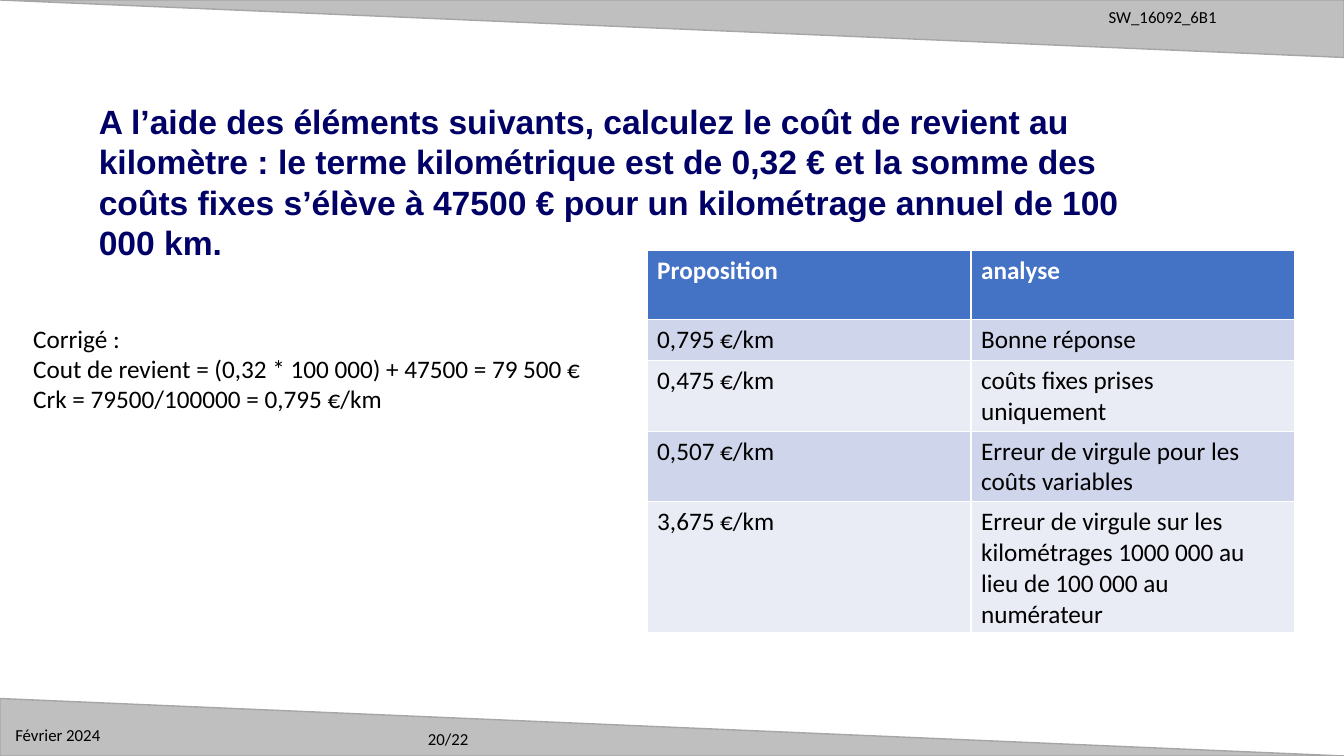
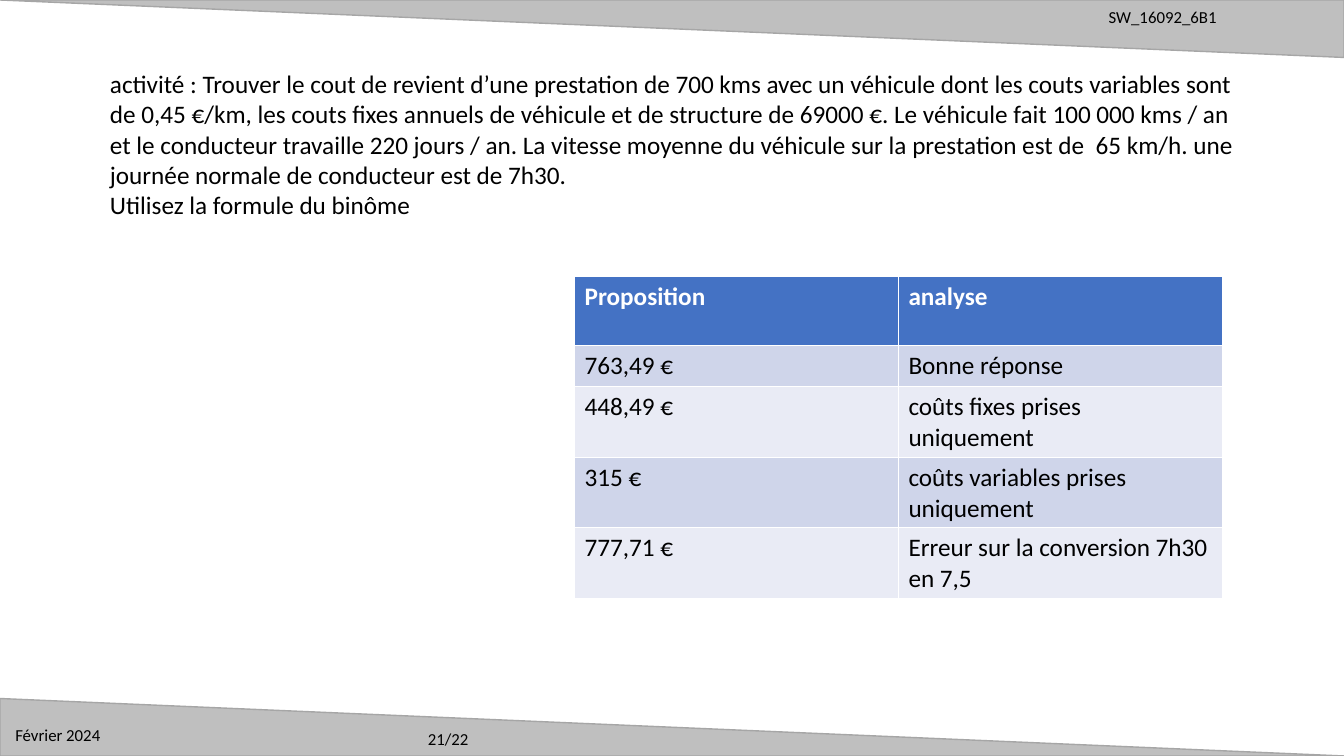
from pptx import Presentation
from pptx.dml.color import RGBColor
from pptx.enum.shapes import MSO_SHAPE
from pptx.enum.text import MSO_ANCHOR, MSO_AUTO_SIZE, PP_ALIGN
from pptx.util import Inches, Pt

TRIANGLE = MSO_SHAPE.RIGHT_TRIANGLE
TOP, LEFT, NO_FIT = MSO_ANCHOR.TOP, PP_ALIGN.LEFT, MSO_AUTO_SIZE.NONE

BLACK = RGBColor(0x00, 0x00, 0x00)
WHITE = RGBColor(0xFF, 0xFF, 0xFF)
NAVY = RGBColor(0x00, 0x00, 0x66)
BAND_FILL = RGBColor(0xBF, 0xBF, 0xBF)
BAND_LINE = RGBColor(0xA6, 0xA6, 0xA6)
HEADER_FILL = RGBColor(0x44, 0x72, 0xC4)
ROW_FILLS = [RGBColor(0xE9, 0xEB, 0xF5), RGBColor(0xCF, 0xD5, 0xEA)]

TITLE_ONLY = 5
BAND_HEIGHT = 7.6
TABLE_WIDTH = 48.2
HEADER_HEIGHT, ROW_HEIGHT = 9.2, 5.4
PAGE_COUNT = 22

prs = Presentation()
prs.slide_width, prs.slide_height = Inches(13.33), Inches(7.5)


def area(left, top, width, height):
    """Turn percentages of the slide's size into lengths."""
    across, down = prs.slide_width / 100, prs.slide_height / 100
    return int(left * across), int(top * down), int(width * across), int(height * down)


def write(frame, text, size=18, color=BLACK, font="Calibri", bold=False):
    frame.text = text
    frame.word_wrap = True
    for paragraph in frame.paragraphs:
        paragraph.alignment = LEFT
        for run in paragraph.runs:
            run.font.size, run.font.name, run.font.bold = Pt(size), font, bold
            run.font.color.rgb = color


HEADER = ("Proposition", "analyse")
EXERCISES = [
    {
        "page": 20,
        "question": "A l’aide des éléments suivants, calculez le coût de revient au kilomètre : "
                    "le terme kilométrique est de 0,32 € et la somme des coûts fixes s’élève à "
                    "47500 € pour un kilométrage annuel de 100 000 km.",
        "question_area": (6.6, 12.7, 78.3, 22.9),
        "question_style": {"size": 24, "color": NAVY, "font": "Arial", "bold": True},
        "correction": "Corrigé :\n"
                      "Cout de revient = (0,32 * 100 000) + 47500 = 79 500 €\n"
                      "Crk = 79500/100000 = 0,795 €/km",
        "table_corner": (48.15, 33.1),
        "answers": [
            ("0,795 €/km", "Bonne réponse"),
            ("0,475 €/km", "coûts fixes prises uniquement"),
            ("0,507 €/km", "Erreur de virgule pour les coûts variables"),
            ("3,675 €/km", "Erreur de virgule sur les kilométrages 1000 000 "
                           "au lieu de 100 000 au numérateur"),
        ],
    },
    {
        "page": 21,
        "question": "activité : Trouver le cout de revient d’une prestation de 700 kms avec un "
                    "véhicule dont les couts variables sont de 0,45 €/km, les couts fixes annuels "
                    "de véhicule et de structure de 69000 €. Le véhicule fait 100 000 kms / an et "
                    "le conducteur travaille 220 jours / an. La vitesse moyenne du véhicule sur la "
                    "prestation est de  65 km/h. une journée normale de conducteur est de 7h30.\n"
                    "Utilisez la formule du binôme",
        "question_area": (7.43, 8.4, 85.9, 21.6),
        "question_style": {},
        "correction": None,
        "table_corner": (42.75, 36.55),
        "answers": [
            ("763,49 €", "Bonne réponse"),
            ("448,49 €", "coûts fixes prises uniquement"),
            ("315 €", "coûts variables prises uniquement"),
            ("777,71 €", "Erreur sur la conversion 7h30 en 7,5"),
        ],
    },
]

for exercise in EXERCISES:
    slide = prs.slides.add_slide(prs.slide_layouts[TITLE_ONLY])

    # Bands and footers
    for band_top, rotation in ((0, 180), (100 - BAND_HEIGHT, 0)):
        band = slide.shapes.add_shape(TRIANGLE, *area(0, band_top, 100, BAND_HEIGHT))
        band.rotation = rotation
        band.shadow.inherit = False
        band.fill.solid()
        band.fill.fore_color.rgb = BAND_FILL
        band.line.color.rgb = BAND_LINE
        band.line.width = Pt(1)

    for label, place in (
        (f"{exercise['page']}/{PAGE_COUNT}", (31.1, 95.75, 10, 4)),
        ("SW_16092_6B1", (81.75, 0.27, 17.9, 4)),
        ("Février 2024", (0.4, 95.2, 10.4, 4)),
    ):
        write(slide.shapes.add_textbox(*area(*place)).text_frame, label, size=12)

    # Question and correction
    question = slide.shapes.title
    question.left, question.top, question.width, question.height = area(*exercise["question_area"])
    question.text_frame.vertical_anchor = TOP
    question.text_frame.auto_size = NO_FIT
    write(question.text_frame, exercise["question"], **exercise["question_style"])

    if exercise["correction"]:
        correction = slide.shapes.add_textbox(*area(1.73, 42.1, 49.2, 13.5))
        write(correction.text_frame, exercise["correction"])

    # Answers
    rows = [HEADER, *exercise["answers"]]
    table_height = HEADER_HEIGHT + ROW_HEIGHT * len(exercise["answers"])
    place = area(*exercise["table_corner"], TABLE_WIDTH, table_height)
    answers = slide.shapes.add_table(len(rows), len(HEADER), *place).table
    for row_index, row in enumerate(rows):
        is_header = row_index == 0
        height = HEADER_HEIGHT if is_header else ROW_HEIGHT
        answers.rows[row_index].height = area(0, 0, 0, height)[3]
        for column_index, text in enumerate(row):
            cell = answers.cell(row_index, column_index)
            cell.fill.solid()
            cell.fill.fore_color.rgb = HEADER_FILL if is_header else ROW_FILLS[row_index % 2]
            write(cell.text_frame, text, color=WHITE if is_header else BLACK, bold=is_header)

prs.save("out.pptx")
